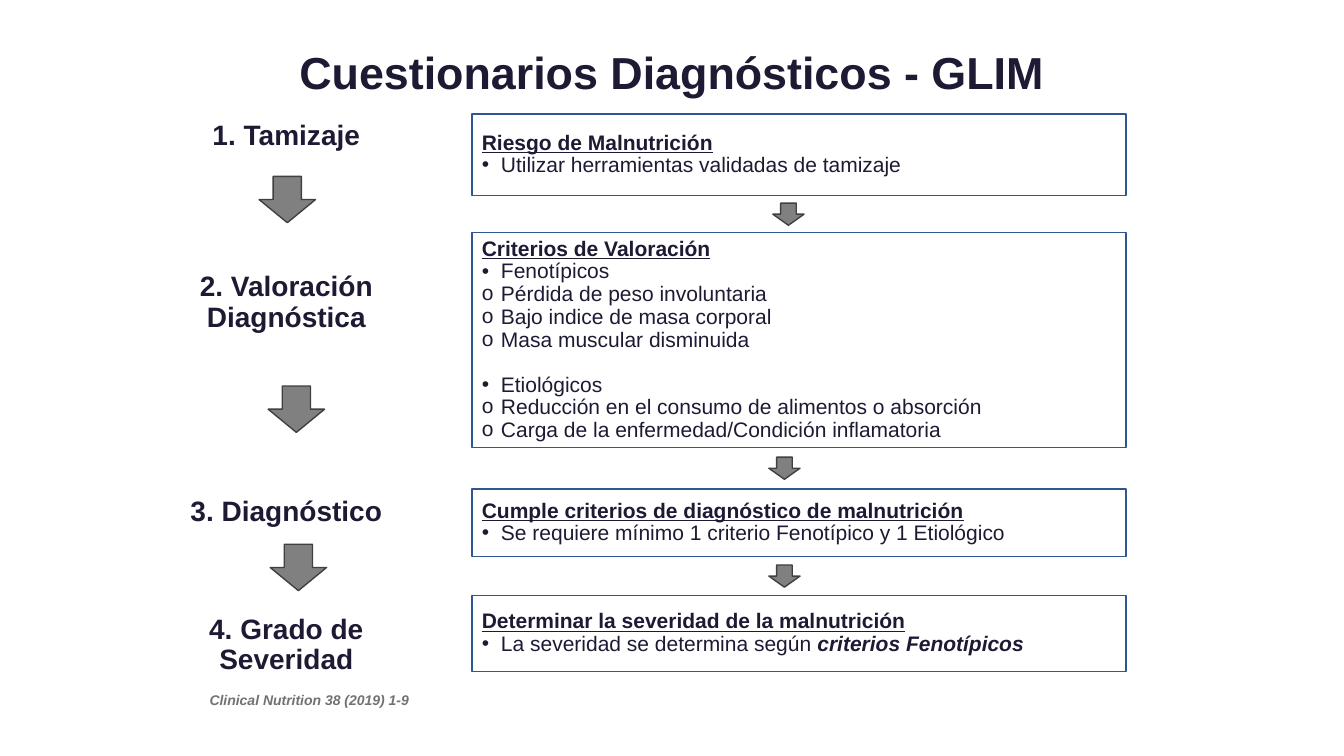
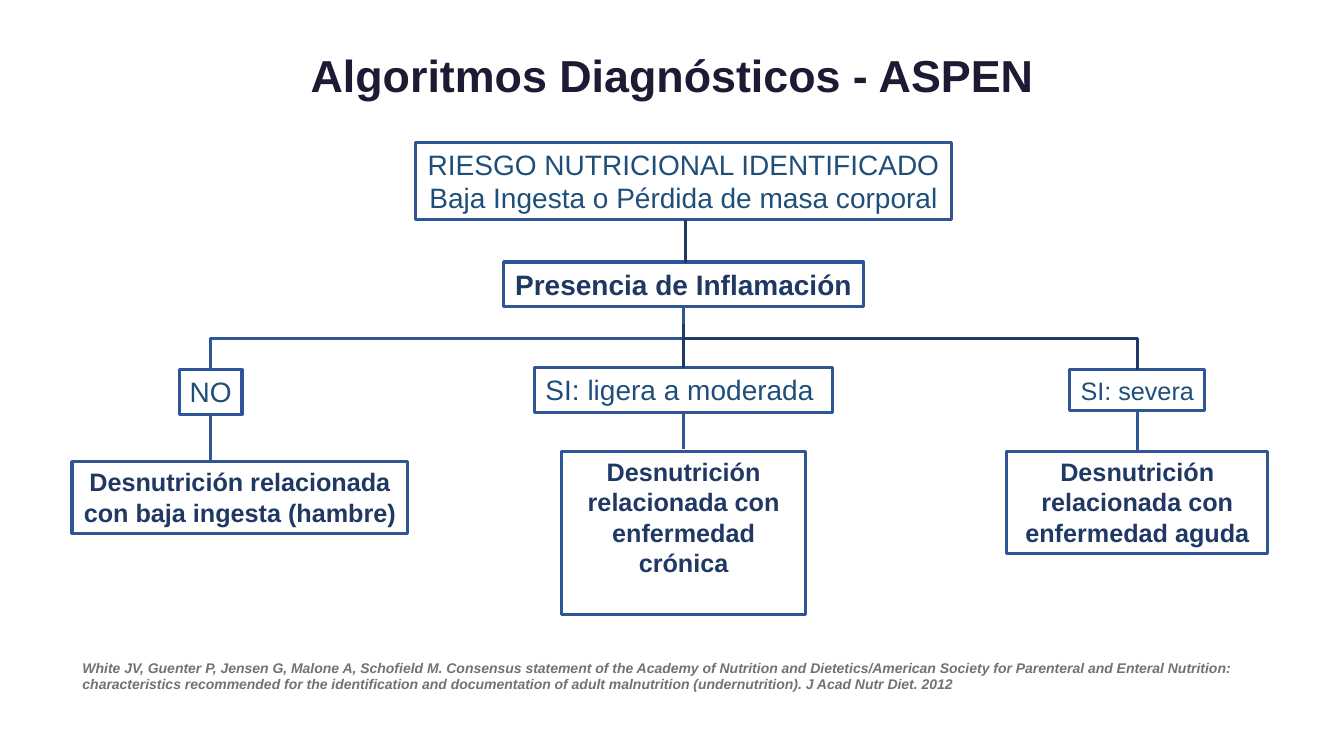
from dataclasses import dataclass

from lxml import etree
from pptx import Presentation
from pptx import util as u
from pptx.dml.color import RGBColor
from pptx.enum import shapes, text
from pptx.oxml import ns


@dataclass(frozen=True)
class Theme:
    font: str = "Arial"
    ink: str = "1F1A34"
    navy: str = "203864"
    teal: str = "1F4E79"
    blue: str = "2F5597"
    white: str = "FFFFFF"
    grey: str = "808080"
    dark_grey: str = "404040"
    source_grey: str = "767171"
    title: int = 32
    heading: int = 20
    outcome: int = 18
    body: int = 15
    source: int = 10
    thin: float = 1
    thick: float = 2.25


@dataclass(frozen=True)
class Box:
    left: float
    top: float
    width: float
    height: float

    def inside(self, left, top, width, height):
        """A box measured from this one's corner."""
        return Box(self.left + left, self.top + top, width, height)

    def centred(self, centre, top, width, height):
        return self.inside(centre - width / 2, top, width, height)

    def lengths(self):
        return [u.Inches(v) for v in (self.left, self.top, self.width, self.height)]


THEME = Theme()
RECTANGLE = shapes.MSO_SHAPE.RECTANGLE
DOWN_ARROW = shapes.MSO_SHAPE.DOWN_ARROW
CENTRE = text.PP_ALIGN.CENTER
MIDDLE, TOP = text.MSO_ANCHOR.MIDDLE, text.MSO_ANCHOR.TOP


# Shared parts
def style(paragraph, size, color, bold=False, italic=False, underline=False,
          align=text.PP_ALIGN.LEFT, spacing=None):
    paragraph.alignment = align
    if spacing:
        paragraph.line_spacing = spacing
    font = paragraph.font
    font.name, font.size = THEME.font, u.Pt(size)
    font.bold, font.italic, font.underline = bold, italic, underline
    font.color.rgb = RGBColor.from_string(color)


def add_text(slide, box, words, size, color, anchor=TOP, **options):
    frame = slide.shapes.add_textbox(*box.lengths()).text_frame
    frame.word_wrap = True
    frame.vertical_anchor = anchor
    frame.text = words
    style(frame.paragraphs[0], size, color, **options)


def add_shape(slide, kind, box, fill, line, width):
    shape = slide.shapes.add_shape(kind, *box.lengths())
    shape.shadow.inherit = False
    if fill:
        shape.fill.solid()
        shape.fill.fore_color.rgb = RGBColor.from_string(fill)
    else:
        shape.fill.background()
    shape.line.color.rgb = RGBColor.from_string(line)
    shape.line.width = u.Pt(width)
    return shape


def add_arrow(slide, box):
    add_shape(slide, DOWN_ARROW, box, THEME.grey, THEME.dark_grey, THEME.thin)


def add_line(slide, start, end, color, kind=shapes.MSO_CONNECTOR.STRAIGHT):
    points = [u.Inches(v) for v in (*start, *end)]
    connector = slide.shapes.add_connector(kind, *points)
    connector.line.color.rgb = RGBColor.from_string(color)
    connector.line.width = u.Pt(THEME.thick)
    etree.SubElement(connector._element.spPr, ns.qn("a:effectLst"))
    return connector


def add_branch(slide, start, end, color):
    """An elbow that leaves downwards: a quarter-turned horizontal elbow."""
    across, down = end[0] - start[0], end[1] - start[1]
    middle_x, middle_y = (start[0] + end[0]) / 2, (start[1] + end[1]) / 2
    to_right = across > 0
    half = -down / 2 if to_right else down / 2
    rise = abs(across) / 2
    connector = add_line(slide, (middle_x - half, middle_y - rise),
                         (middle_x + half, middle_y + rise), color,
                         shapes.MSO_CONNECTOR.ELBOW)
    turn = 270 if to_right else 90
    connector._element.spPr.find(ns.qn("a:xfrm")).set("rot", str(turn * 60000))


def add_titled_slide(presentation, words, box):
    slide = presentation.slides.add_slide(presentation.slide_layouts[5])
    title = slide.shapes.title
    title.left, title.top, title.width, title.height = box.lengths()
    title.text_frame.text = words
    title.text_frame.vertical_anchor = MIDDLE
    style(title.text_frame.paragraphs[0], THEME.title, THEME.ink, bold=True,
          align=CENTRE, spacing=0.9)
    return slide


def add_source(slide, box, words):
    add_text(slide, box, words, THEME.source, THEME.source_grey,
             bold=True, italic=True)


# GLIM: four steps, each with a label and a detail panel
BULLET, CIRCLE = "•", "o"
STEPS = [  # label, label top, label height, panel top, panel height, heading, items
    ("1. Tamizaje", 0, 0.44, 0, 0.81, "Riesgo de Malnutrición",
     [(BULLET, "Utilizar herramientas validadas de tamizaje")]),
    ("2. Valoración Diagnóstica", 1.53, 0.69, 1.18, 2.13, "Criterios de Valoración",
     [(BULLET, "Fenotípicos"),
      (CIRCLE, "Pérdida de peso involuntaria"),
      (CIRCLE, "Bajo indice de masa corporal"),
      (CIRCLE, "Masa muscular disminuida"),
      (BULLET, "Etiológicos"),
      (CIRCLE, "Reducción en el consumo de alimentos o absorción"),
      (CIRCLE, "Carga de la enfermedad/Condición inflamatoria")]),
    ("3. Diagnóstico", 3.74, 0.42, 3.72, 0.67,
     "Cumple criterios de diagnóstico de malnutrición",
     [(BULLET, "Se requiere mínimo 1 criterio Fenotípico y 1 Etiológico")]),
    ("4. Grado de Severidad", 4.98, 0.58, 4.78, 0.75,
     "Determinar la severidad de la malnutrición",
     [(BULLET, "La severidad se determina según ", "criterios Fenotípicos")]),
]
LABEL_ARROWS = [(0.9, 0.62), (0.99, 2.7), (1.01, 4.27)]
PANEL_ARROW_CENTRES = [6.15, 6.11, 6.11]


def add_bullet(paragraph, mark):
    properties = paragraph._p.get_or_add_pPr()
    properties.set("marL", str(u.Inches(0.19)))
    properties.set("indent", str(-u.Inches(0.19)))
    etree.SubElement(properties, ns.qn("a:buFont"), typeface=THEME.font)
    etree.SubElement(properties, ns.qn("a:buChar"), char=mark)


def add_panel(slide, box, heading, items):
    panel = add_shape(slide, RECTANGLE, box, THEME.white, THEME.blue, THEME.thin)
    frame = panel.text_frame
    frame.vertical_anchor = MIDDLE
    frame.text = heading
    style(frame.paragraphs[0], THEME.body, THEME.ink, bold=True, underline=True,
          spacing=0.9)
    for index, (mark, words, *emphasis) in enumerate(items):
        paragraph = frame.add_paragraph()
        add_bullet(paragraph, mark)
        style(paragraph, THEME.body, THEME.ink, spacing=0.9)
        if index and mark == BULLET:
            paragraph.space_before = u.Pt(16)
        paragraph.add_run().text = words
        for strong in emphasis:
            run = paragraph.add_run()
            run.text = strong
            run.font.bold = run.font.italic = True


def add_steps(slide, area):
    label_width, panel_left = 2.34, 3.01
    for label, label_top, label_height, top, height, heading, items in STEPS:
        add_text(slide, area.inside(0, label_top, label_width, label_height), label,
                 THEME.heading, THEME.ink, MIDDLE, bold=True, align=CENTRE, spacing=0.9)
        add_panel(slide, area.inside(panel_left, top, area.width - panel_left, height),
                  heading, items)
    for left, top in LABEL_ARROWS:
        add_arrow(slide, area.inside(left, top, 0.56, 0.46))
    # Small arrows sit halfway between neighbouring panels
    for centre, above, below in zip(PANEL_ARROW_CENTRES, STEPS, STEPS[1:]):
        gap_middle = (above[3] + above[4] + below[3]) / 2
        add_arrow(slide, area.centred(centre, gap_middle - 0.11, 0.31, 0.22))


# ASPEN: decision tree
def add_node(slide, box, lines, size, color, bold=False, wrap=False):
    node = add_shape(slide, RECTANGLE, box, None, THEME.blue, THEME.thick)
    frame = node.text_frame
    frame.word_wrap = wrap
    frame.vertical_anchor = TOP
    frame.text = "\n".join(lines)
    for paragraph in frame.paragraphs:
        style(paragraph, size, color, bold=bold, align=CENTRE)


def add_tree(slide, area):
    left, middle, right = 1.37, 6.06, 10.56
    answer = dict(size=THEME.heading, color=THEME.teal)
    outcome = dict(size=THEME.outcome, color=THEME.navy, bold=True)
    nodes = [  # centre, top, width, height, lines, look
        (middle, 0, 5.32, 0.77, ["RIESGO NUTRICIONAL IDENTIFICADO",
                                 "Baja Ingesta o Pérdida de masa corporal"], answer),
        (middle, 1.19, 3.57, 0.44, ["Presencia de Inflamación"],
         dict(outcome, size=THEME.heading)),
        (left, 2.26, 0.62, 0.44, ["NO"], answer),
        (middle, 2.24, 2.96, 0.44, ["SI: ligera a moderada "], answer),
        (right, 2.26, 1.34, 0.4, ["SI: severa"], dict(answer, size=THEME.outcome)),
        (1.66, 3.17, 3.33, 0.71, ["Desnutrición relacionada",
                                  "con baja ingesta (hambre)"], outcome),
        (middle, 3.07, 2.42, 1.62, ["Desnutrición relacionada con enfermedad crónica"],
         dict(outcome, wrap=True)),
        (right, 3.07, 2.59, 1.01, ["Desnutrición relacionada con enfermedad aguda"],
         dict(outcome, wrap=True)),
    ]
    for centre, top, width, height, lines, look in nodes:
        add_node(slide, area.centred(centre, top, width, height), lines, **look)

    def point(x, y):
        return area.left + x, area.top + y

    # Branches from the question to the outer answers
    for centre, color in ((right, THEME.navy), (left, THEME.blue)):
        add_branch(slide, point(middle, 1.63), point(centre, 2.26), color)
    # Vertical links
    for x, start, end, color in (
            (middle + 0.02, 0.77, 1.2, THEME.navy), (middle, 1.8, 2.24, THEME.navy),
            (middle, 2.67, 3.04, THEME.blue), (right, 2.67, 3.07, THEME.blue),
            (left, 2.7, 3.17, THEME.blue)):
        add_line(slide, point(x, start), point(x, end), color)


def main():
    presentation = Presentation()
    presentation.slide_width, presentation.slide_height = u.Inches(13.33), u.Inches(7.5)

    glim = add_titled_slide(presentation, "Cuestionarios Diagnósticos - GLIM",
                            Box(2.69, 0.15, 7.95, 1.19))
    add_steps(glim, Box(1.67, 1.13, 9.5, 5.56))
    add_source(glim, Box(1.98, 6.81, 2.29, 0.22), "Clinical Nutrition 38 (2019) 1-9")

    aspen = add_titled_slide(presentation, "Algoritmos Diagnósticos - ASPEN",
                             Box(2.9, 0.05, 7.54, 1.45))
    add_tree(aspen, Box(0.72, 1.41, 11.86, 4.69))
    add_source(aspen, Box(0.72, 6.49, 12.07, 0.44),
               "White JV, Guenter P, Jensen G, Malone A, Schofield M. Consensus statement "
               "of the Academy of Nutrition and Dietetics/American Society for Parenteral "
               "and Enteral Nutrition: characteristics recommended for the identification "
               "and documentation of adult malnutrition (undernutrition). "
               "J Acad Nutr Diet. 2012")
    presentation.save("out.pptx")


if __name__ == "__main__":
    main()
